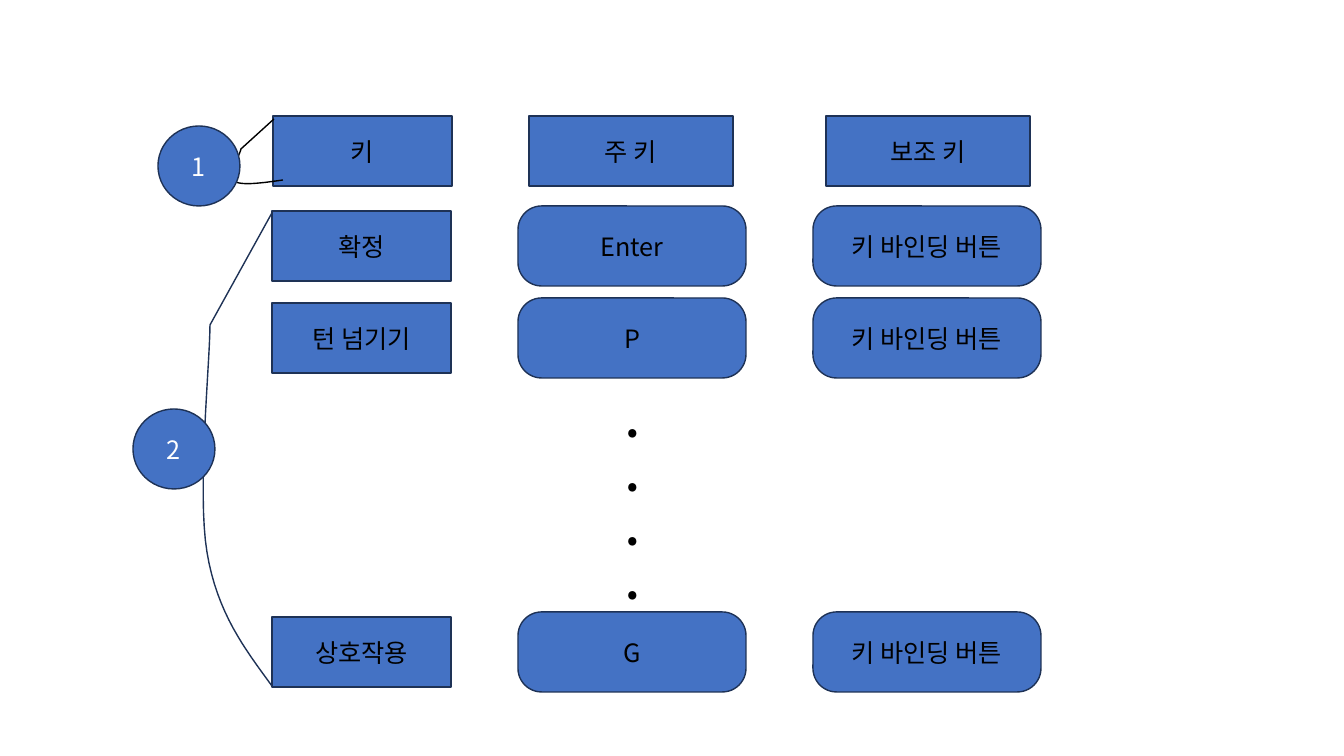
from pptx import Presentation
from pptx.dml.color import RGBColor
from pptx.enum.shapes import MSO_SHAPE
from pptx.enum.text import MSO_ANCHOR, PP_ALIGN
from pptx.oxml.ns import qn
from pptx.util import Emu, Pt

SLIDE_W, SLIDE_H = 1344, 756
EMU_PER_PX = 12192000 / SLIDE_W

BLUE = RGBColor(0x44, 0x72, 0xC4)
NAVY = RGBColor(0x1E, 0x32, 0x56)
BLACK = RGBColor(0, 0, 0)
WHITE = RGBColor(0xFF, 0xFF, 0xFF)

BOX = MSO_SHAPE.FLOWCHART_PROCESS
BUTTON = MSO_SHAPE.ROUNDED_RECTANGLE
CIRCLE = MSO_SHAPE.OVAL
CENTER = PP_ALIGN.CENTER
TOP, MIDDLE = MSO_ANCHOR.TOP, MSO_ANCHOR.MIDDLE

FONT = "Noto Sans CJK KR"


def px(n):
    return Emu(round(n * EMU_PER_PX))


def bezier(p0, p1, p2, p3, steps=16):
    """Points along a cubic curve, without its start."""
    for i in range(1, steps + 1):
        t = i / steps
        u = 1 - t
        weights = (u ** 3, 3 * u * u * t, 3 * u * t * t, t ** 3)
        yield tuple(sum(w * p[axis] for w, p in zip(weights, (p0, p1, p2, p3)))
                    for axis in (0, 1))


class KeyScreen:
    def __init__(self, slide):
        self.shapes = slide.shapes

    def set_text(self, s, lines, color=BLACK, size=18, bold=False, anchor=MIDDLE,
                 spacing=None, inset_top=5):
        tf = s.text_frame
        frame = {"word_wrap": True, "vertical_anchor": anchor,
                 "margin_top": px(inset_top), "margin_bottom": px(5)}
        for name, value in frame.items():
            setattr(tf, name, value)
        for i, line in enumerate(lines):
            p = tf.add_paragraph() if i else tf.paragraphs[0]
            p.alignment = CENTER
            if spacing:
                p.line_spacing = Pt(spacing)
            r = p.add_run()
            r.text = line
            for name, value in {"name": FONT, "size": Pt(size), "bold": bold}.items():
                setattr(r.font, name, value)
            r.font.color.rgb = color
            # Hangul takes the East Asian typeface
            latin = r.font._element.find(qn("a:latin"))
            latin.addnext(latin.makeelement(qn("a:ea"), {"typeface": FONT}))

    def outline(self, s, color):
        s.shadow.inherit = False
        s.line.color.rgb = color
        s.line.width = Pt(1)

    def shape(self, kind, x, y, w, h, text, color=BLACK):
        s = self.shapes.add_shape(kind, px(x), px(y), px(w), px(h))
        if kind == BUTTON:
            s.adjustments[0] = 0.295
        s.fill.solid()
        s.fill.fore_color.rgb = BLUE
        self.outline(s, NAVY)
        self.set_text(s, [text], color)

    def textbox(self, x, y, w, h, lines, **style):
        s = self.shapes.add_textbox(px(x), px(y), px(w), px(h))
        self.set_text(s, lines, **style)

    def bracket(self, start, corner, curves, color):
        points = [corner]
        for curve in curves:
            points.extend(list(bezier(points[-1], *curve)))
        builder = self.shapes.build_freeform(px(start[0]), px(start[1]))
        builder.add_line_segments([(px(x), px(y)) for x, y in points], close=False)
        s = builder.convert_to_shape()
        s.fill.background()
        self.outline(s, color)


def main():
    prs = Presentation()
    prs.slide_width, prs.slide_height = px(SLIDE_W), px(SLIDE_H)
    screen = KeyScreen(prs.slides.add_slide(prs.slide_layouts[6]))

    # Column headings
    for x, w, heading in ((273, 179, "키"), (529, 204, "주 키"), (826, 204, "보조 키")):
        screen.shape(BOX, x, 116, w, 70, heading)

    # One row per action: name, main key, spare key
    for y, action, key in ((206, "확정", "Enter"), (298, "턴 넘기기", "P"),
                           (612, "상호작용", "G")):
        screen.shape(BOX, 272, y + 5, 179, 70, action)
        for x, text in ((518, key), (813, "키 바인딩 버튼")):
            screen.shape(BUTTON, x, y, 228, 80, text)

    # Rows left out
    screen.textbox(588, 385, 89, 228, ["."] * 4, size=32, bold=True, anchor=TOP,
                   spacing=38.5, inset_top=8)

    # Numbered callouts with their brackets
    screen.bracket((274, 119), (241, 149),
                   [((240, 155), (227, 176), (234, 181)),
                    ((241, 186), (262, 183), (283, 180))], BLACK)
    screen.bracket((273, 211), (210, 325),
                   [((210, 363), (197, 492), (207, 552)),
                    ((217, 613), (245, 649), (272, 686))], NAVY)
    for x, y, number in ((158, 126, "1"), (133, 409, "2")):
        screen.shape(CIRCLE, x, y, 82, 80, number, WHITE)

    prs.save("out.pptx")


if __name__ == "__main__":
    main()
